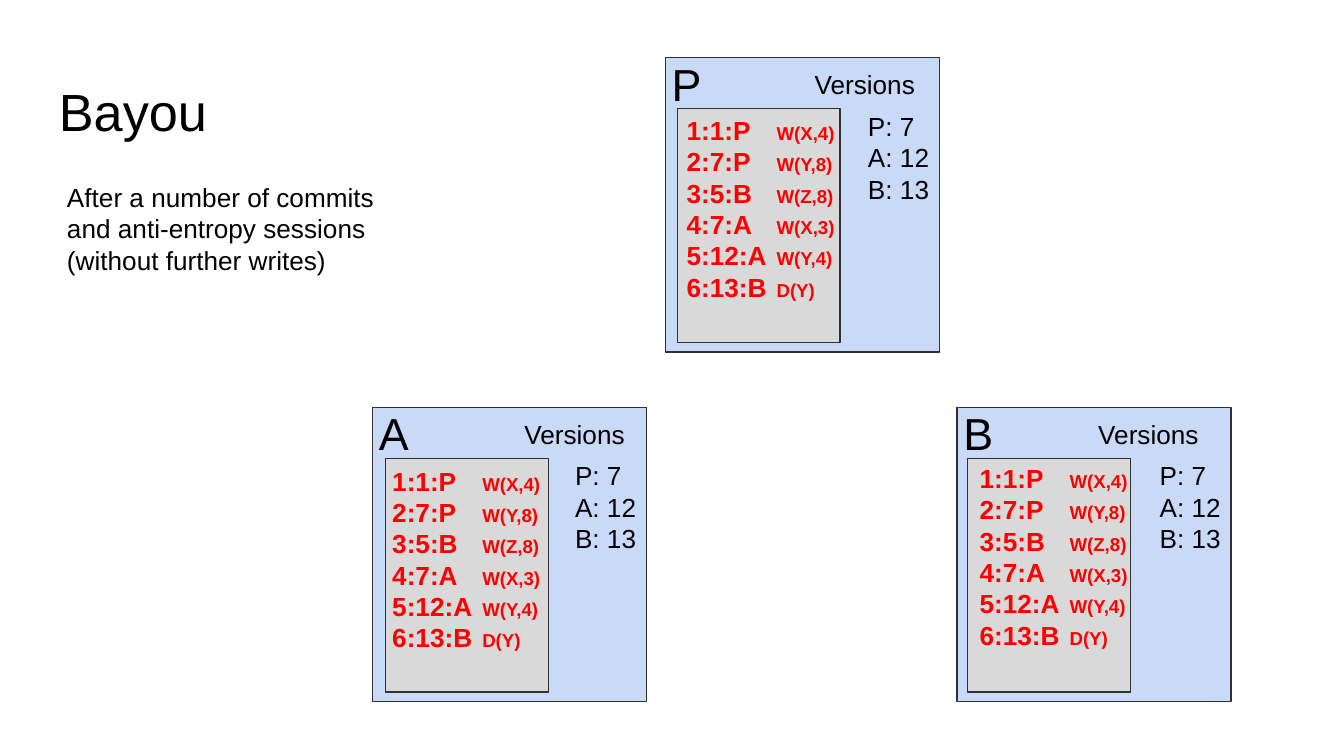
from dataclasses import dataclass

import pptx
import pptx.util
import pptx.dml.color
import pptx.enum.shapes
import pptx.enum.text
import pptx.oxml.ns
from lxml import etree

Inches = pptx.util.Inches
Pt = pptx.util.Pt
RGB = pptx.dml.color.RGBColor.from_string
LEFT = pptx.enum.text.PP_ALIGN.LEFT
CENTER = pptx.enum.text.PP_ALIGN.CENTER


@dataclass(frozen=True)
class Theme:
    font: str = "Arial"
    ink: str = "000000"
    committed: str = "FF0000"
    replica_fill: str = "C9DAF8"
    log_fill: str = "D9D9D9"
    outline: str = "303030"
    title_size: int = 28
    name_size: int = 24
    body_size: int = 14
    operation_size: int = 10


THEME = Theme()

PAGE_WIDTH = 10
PAGE_HEIGHT = PAGE_WIDTH * 9 / 16

VERSIONS = ["P: 7", "A: 12", "B: 13"]
WRITES = [
    ("1:1:P", "W(X,4)"),
    ("2:7:P", "W(Y,8)"),
    ("3:5:B", "W(Z,8)"),
    ("4:7:A", "W(X,3)"),
    ("5:12:A", "W(Y,4)"),
    ("6:13:B", "D(Y)"),
]
OPERATION_TAB = 0.67

# name, left, top, log panel offset, heading width, log text offset
REPLICAS = [
    ("P", 4.95, 0.43, 0.09, 1.13, (0.06, 0.32)),
    ("A", 2.77, 3.03, 0.10, 1.09, (0.05, 0.33)),
    ("B", 7.12, 3.03, 0.08, 1.25, (0.07, 0.31)),
]


def add_rectangle(shapes, left, top, width, height, fill):
    box = shapes.add_shape(pptx.enum.shapes.MSO_SHAPE.RECTANGLE,
                           Inches(left), Inches(top), Inches(width), Inches(height))
    box.shadow.inherit = False
    box.fill.solid()
    box.fill.fore_color.rgb = RGB(fill)
    box.line.color.rgb = RGB(THEME.outline)
    box.line.width = Pt(0.75)


def add_tab_stop(para, position):
    properties = para._p.get_or_add_pPr()
    tabs = etree.SubElement(properties, pptx.oxml.ns.qn("a:tabLst"))
    etree.SubElement(tabs, pptx.oxml.ns.qn("a:tab"),
                     pos=str(Inches(position)), algn="l")


def add_span(para, text, size=THEME.body_size, color=THEME.ink, bold=False):
    span = para.add_run()
    span.text = text
    span.font.name = THEME.font
    span.font.size = Pt(size)
    span.font.bold = bold
    span.font.color.rgb = RGB(color)


def add_text(shapes, lines, left, top, width, height, align=LEFT, tab=None,
             detail_size=None, **style):
    """Each line is a string, or a pair whose second part follows a tab."""
    box = shapes.add_textbox(Inches(left), Inches(top), Inches(width), Inches(height))
    frame = box.text_frame
    frame.word_wrap = True
    frame.margin_left = frame.margin_right = Inches(0.1)
    frame.margin_top = frame.margin_bottom = Inches(0.1)
    for index, line in enumerate(lines):
        para = frame.add_paragraph() if index else frame.paragraphs[0]
        para.alignment = align
        if tab is None:
            add_span(para, line, **style)
        else:
            lead, detail = line
            add_tab_stop(para, tab)
            add_span(para, lead, **style)
            add_span(para, "\t" + detail, **{**style, "size": detail_size})


def add_replica(page, name, left, top, panel_offset, heading_width, log_offset):
    """Draw one server with its write log and version vector."""
    shapes = page.shapes.add_group_shape().shapes
    add_rectangle(shapes, left, top, 2.04, 2.19, THEME.replica_fill)
    add_rectangle(shapes, left + panel_offset, top + 0.38, 1.21, 1.74, THEME.log_fill)
    add_text(shapes, VERSIONS, left + 1.41, top + 0.29, 0.72, 0.86)
    add_text(shapes, ["Versions"], left + 2.05 - heading_width, top - 0.02,
             heading_width, 0.36, align=CENTER)
    add_text(shapes, [name], left - 0.05, top - 0.11, 0.46, 0.53, size=THEME.name_size)
    log_x, log_y = log_offset
    add_text(page.shapes, WRITES, left + log_x, top + log_y, 1.38, 1.64,
             tab=OPERATION_TAB, detail_size=THEME.operation_size,
             color=THEME.committed, bold=True)


def main():
    deck = pptx.Presentation()
    deck.slide_width = Inches(PAGE_WIDTH)
    deck.slide_height = Inches(PAGE_HEIGHT)
    page = deck.slides.add_slide(deck.slide_layouts[6])
    add_text(page.shapes, ["Bayou"], 0.34, 0.49, 4.41, 0.63, size=THEME.title_size)
    add_text(page.shapes,
             ["After a number of commits", "and anti-entropy sessions",
              "(without further writes)"],
             0.4, 1.25, 3.58, 1.13)
    for replica in REPLICAS:
        add_replica(page, *replica)
    deck.save("out.pptx")


if __name__ == "__main__":
    main()
